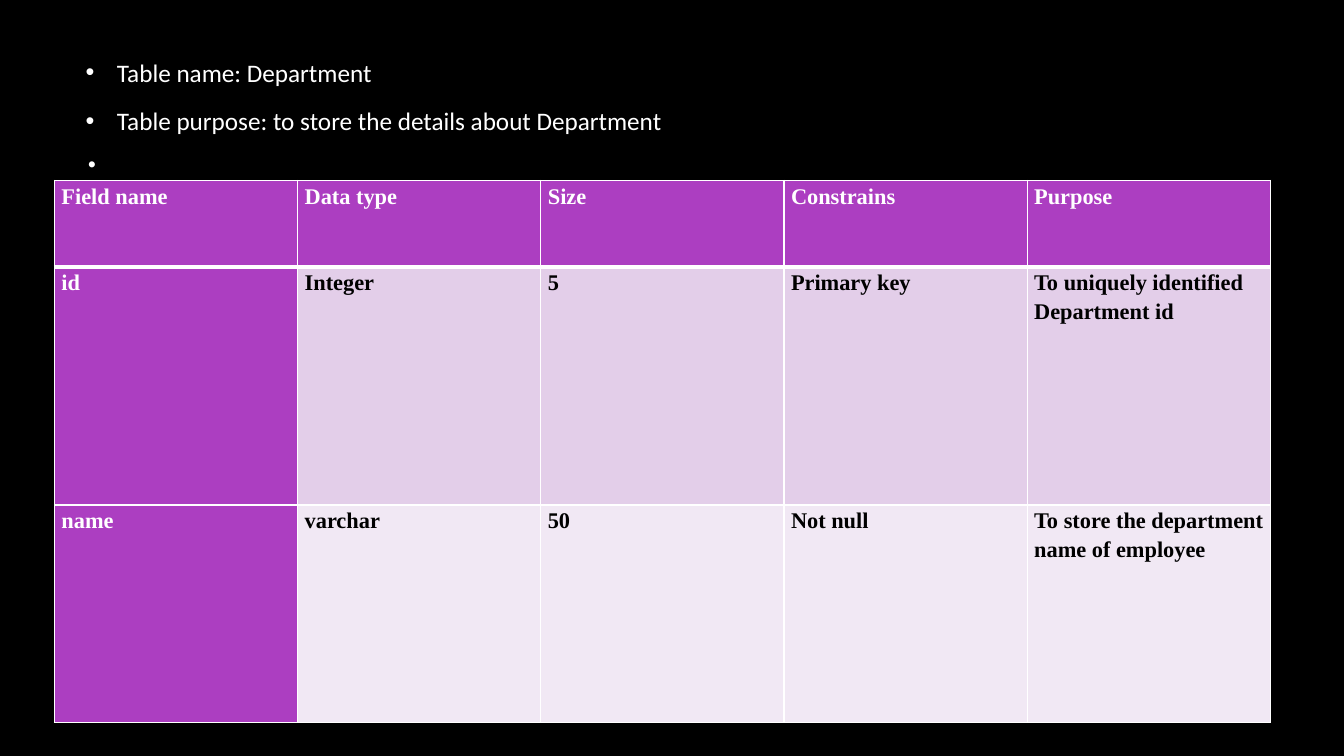
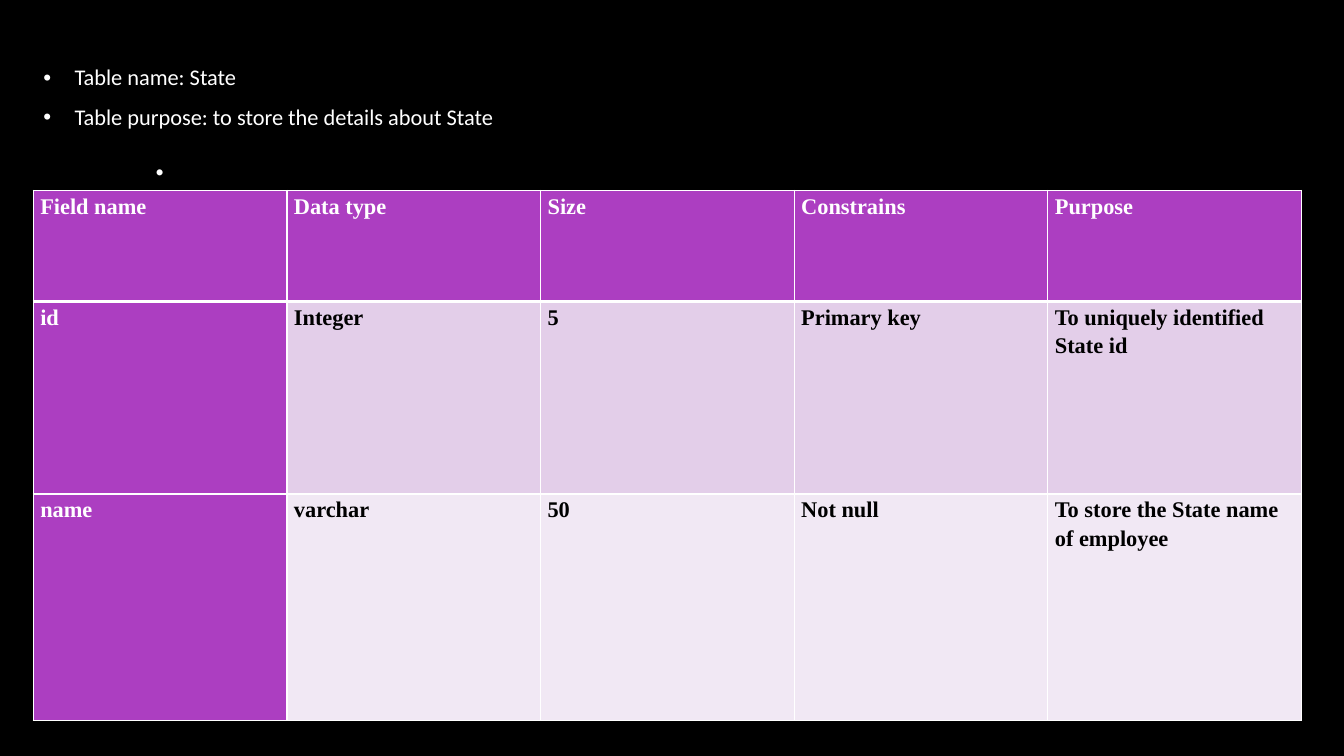
import pptx
import pptx.dml.color
import pptx.enum.text
import pptx.oxml
import pptx.oxml.ns
import pptx.util

Inches = pptx.util.Inches
Pt = pptx.util.Pt
COLORS = {
    "background": "000000",
    "light": "FFFFFF",
    "dark": "000000",
    "accent": "AC3EC1",
    "band": "E3CEE9",
    "pale": "F1E8F4",
}
HEADERS = ["Field name", "Data type", "Size", "Constrains", "Purpose"]


def rgb(name):
    return pptx.dml.color.RGBColor.from_string(COLORS[name])


def place(sp, box):
    sp.left, sp.top, sp.width, sp.height = [Inches(v) for v in box]


def style_font(p, name, size, color, bold=False):
    p.font.name = name
    p.font.size = Pt(size)
    p.font.bold = bold
    p.font.color.rgb = rgb(color)


def add_title(slide, text, box):
    sp = slide.shapes.title
    place(sp, box)
    tf = sp.text_frame
    tf.text = text
    tf.auto_size = pptx.enum.text.MSO_AUTO_SIZE.NONE
    tf.vertical_anchor = pptx.enum.text.MSO_ANCHOR.MIDDLE
    p = tf.paragraphs[0]
    p.alignment = pptx.enum.text.PP_ALIGN.LEFT
    style_font(p, "Calibri", 36, "light")


def add_bullets(slide, lines, box, size, spacing):
    sp = slide.placeholders[1]
    place(sp, box)
    tf = sp.text_frame
    tf.text = "\n".join(lines)
    tf.auto_size = pptx.enum.text.MSO_AUTO_SIZE.NONE
    tf.vertical_anchor = pptx.enum.text.MSO_ANCHOR.TOP
    tf.margin_top = 0
    for p in tf.paragraphs:
        pPr = p._p.get_or_add_pPr()
        pPr.set("marL", str(Inches(0.31)))
        pPr.set("indent", str(-Inches(0.31)))
        p.line_spacing = spacing
        p.space_before = Pt(0)
        p.space_after = Pt(10)
        style_font(p, "Calibri", size, "light")


def set_borders(cell, widths):
    tcPr = cell._tc.get_or_add_tcPr()
    for side, width in widths.items():
        tcPr.append(pptx.oxml.parse_xml(
            f'<a:ln{side} {pptx.oxml.ns.nsdecls("a")} w="{Pt(width)}">'
            f'<a:solidFill><a:srgbClr val="{COLORS["light"]}"/></a:solidFill>'
            f'</a:ln{side}>'))


def fill_cell(cell, text, row, col):
    cell.margin_left = cell.margin_right = Inches(0.07)
    cell.margin_top = cell.margin_bottom = 0
    set_borders(cell, {"L": 1, "R": 1, "T": 3 if row == 1 else 1, "B": 3 if row == 0 else 1})
    accent = row == 0 or col == 0
    cell.fill.solid()
    cell.fill.fore_color.rgb = rgb("accent" if accent else "band" if row % 2 else "pale")
    cell.text = text
    p = cell.text_frame.paragraphs[0]
    p.line_spacing = 1.15
    p.space_after = Pt(10)
    style_font(p, "Times New Roman", 16, "light" if accent else "dark", True)


def add_field_table(slide, rows, box, heights):
    x, y, w, h = [Inches(v) for v in box]
    table = slide.shapes.add_table(len(rows), len(HEADERS), x, y, w, h).table
    for column in table.columns:
        column.width = w // len(HEADERS)
    for i, (values, height) in enumerate(zip(rows, heights)):
        table.rows[i].height = Inches(height)
        for j, text in enumerate(values):
            fill_cell(table.cell(i, j), text, i, j)


def add_schema_slide(prs, entity, name_purpose, title_box, body_box, size, spacing,
                     table_box, heights):
    slide = prs.slides.add_slide(prs.slide_layouts[1])
    add_title(slide, ".", title_box)
    lines = [f"Table name: {entity}", f"Table purpose: to store the details about {entity}"]
    add_bullets(slide, lines, body_box, size, spacing)
    rows = [
        HEADERS,
        ["id", "Integer", "5", "Primary key", f"To uniquely identified {entity} id"],
        ["name", "varchar", "50", "Not null", name_purpose],
    ]
    add_field_table(slide, rows, table_box, heights)


def main():
    prs = pptx.Presentation()
    prs.slide_width = Inches(13.33)
    prs.slide_height = Inches(7.5)
    fill = prs.slide_master.background.fill
    fill.solid()
    fill.fore_color.rgb = rgb("background")
    add_schema_slide(
        prs, "Department", "To store the department name of employee",
        title_box=(0.75, 0.67, 11.08, 1.59), body_box=(0.75, 0.52, 11.17, 1.12),
        size=18, spacing=1.15,
        table_box=(0.54, 1.79, 12.06, 5.38), heights=(0.86, 2.36, 2.16))
    add_schema_slide(
        prs, "State", "To store the State name of employee",
        title_box=(1.42, 1.07, 10.5, 0.94), body_box=(0.33, 0.65, 12.58, 0.82),
        size=16, spacing=0.95,
        table_box=(0.33, 1.89, 12.58, 5.26), heights=(1.1, 1.91, 2.25))
    prs.save("out.pptx")


if __name__ == "__main__":
    main()
